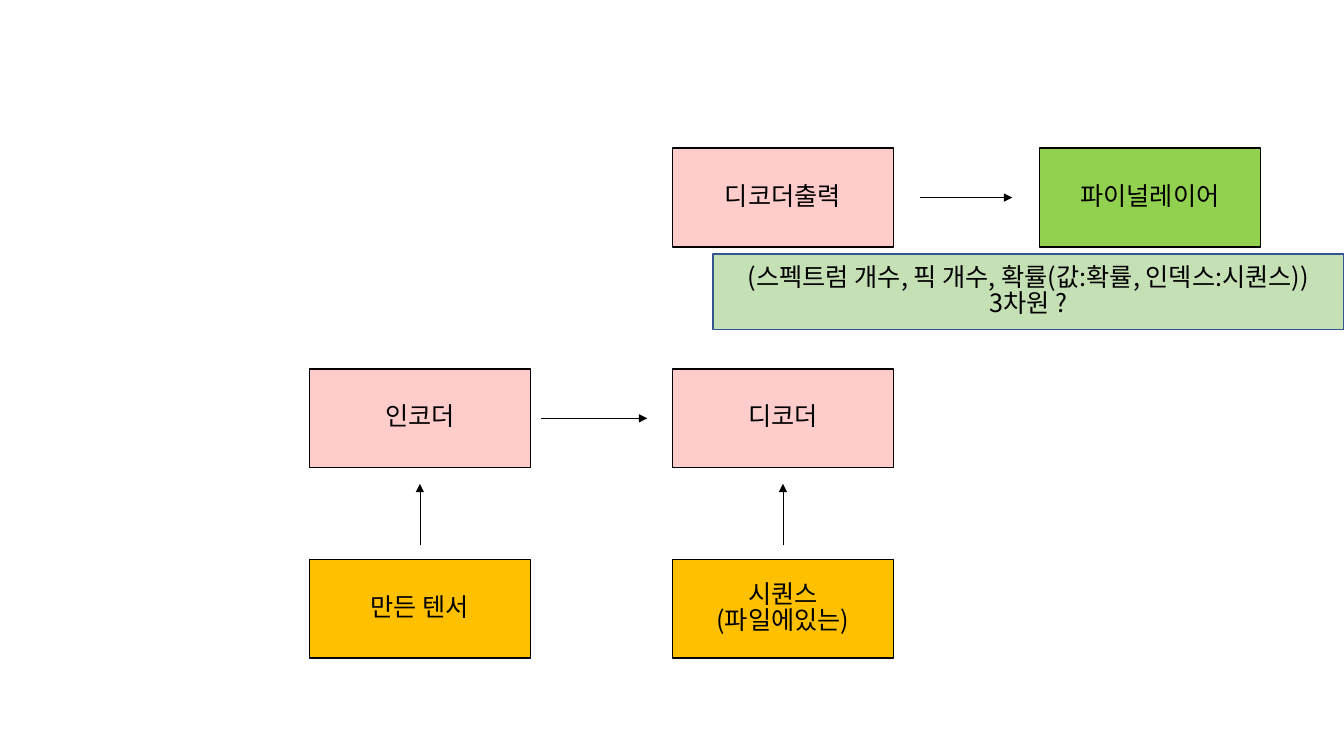
"""Draw the encoder and decoder flow from tensor and sequence to final layer."""
from lxml import etree
from pptx import Presentation
from pptx import util as u
from pptx.dml.color import RGBColor
from pptx.enum import shapes, text
from pptx.oxml.ns import qn

COLORS = {
    "ink": "000000",
    "model": "FFCCCC",
    "input": "FFC000",
    "final": "92D050",
    "note": "C5E0B4",
    "note_line": "325491",
}
COLUMNS = {"encoder": 23.03, "decoder": 50.04, "final": 77.34}
ROWS = {"output": 19.6, "model": 48.8, "input": 74}
BOX_WIDTH, BOX_HEIGHT = 16.43, 13.07


class FlowPage:
    """Hold the style and the slide, placing elements by percent of its size."""

    font = "Noto Sans CJK KR"
    size = u.Pt(18)
    spacing = 0.84

    def __init__(self, deck):
        self.page = deck.slides.add_slide(deck.slide_layouts[6])
        self.width, self.height = deck.slide_width, deck.slide_height

    def across(self, share):
        return round(self.width * share / 100)

    def down(self, share):
        return round(self.height * share / 100)

    def color(self, name):
        return RGBColor.from_string(COLORS[name])

    def box(self, words, left, top, fill, width=BOX_WIDTH, height=BOX_HEIGHT, line="ink"):
        box = self.page.shapes.add_shape(
            shapes.MSO_SHAPE.RECTANGLE,
            self.across(left), self.down(top), self.across(width), self.down(height))
        box.shadow.inherit = False
        box.fill.solid()
        box.fill.fore_color.rgb = self.color(fill)
        box.line.color.rgb = self.color(line)
        box.line.width = u.Pt(1)
        frame = box.text_frame
        frame.text = words
        frame.word_wrap = True
        frame.vertical_anchor = text.MSO_ANCHOR.MIDDLE
        for para in frame.paragraphs:
            para.alignment = text.PP_ALIGN.CENTER
            para.line_spacing = self.spacing
            for span in para.runs:
                self.format_span(span)

    def format_span(self, span):
        span.font.size = self.size
        span.font.name = self.font
        span.font.color.rgb = self.color("ink")
        asian = etree.SubElement(span.font._element, qn("a:ea"))
        asian.set("typeface", self.font)

    def arrow(self, start, end):
        arrow = self.page.shapes.add_connector(
            shapes.MSO_CONNECTOR.STRAIGHT,
            self.across(start[0]), self.down(start[1]),
            self.across(end[0]), self.down(end[1]))
        arrow.line.color.rgb = self.color("ink")
        arrow.line.width = u.Pt(0.5)
        tip = etree.SubElement(arrow.line._get_or_add_ln(), qn("a:tailEnd"))
        tip.set("type", "triangle")
        etree.SubElement(arrow._element.spPr, qn("a:effectLst"))


deck = Presentation()
deck.slide_width, deck.slide_height = u.Inches(13.33), u.Inches(7.5)
flow = FlowPage(deck)

for words, column, row, fill in (
    ("인코더", "encoder", "model", "model"),
    ("디코더", "decoder", "model", "model"),
    ("만든 텐서", "encoder", "input", "input"),
    ("시퀀스\n(파일에있는)", "decoder", "input", "input"),
    ("디코더출력", "decoder", "output", "model"),
    ("파이널레이어", "final", "output", "final"),
):
    flow.box(words, COLUMNS[column], ROWS[row], fill)

for column in ("encoder", "decoder"):
    middle = COLUMNS[column] + BOX_WIDTH / 2
    flow.arrow((middle, 72.13), (middle, 64))

for row, start, end in (("model", 40.28, 48.16), ("output", 68.42, 75.32)):
    middle = ROWS[row] + BOX_HEIGHT / 2
    flow.arrow((start, middle), (end, middle))

flow.box("(스펙트럼 개수, 픽 개수, 확률(값:확률, 인덱스:시퀀스))\n3차원 ?",
         53.04, 33.6, "note", width=46.96, height=10, line="note_line")

deck.save("out.pptx")
